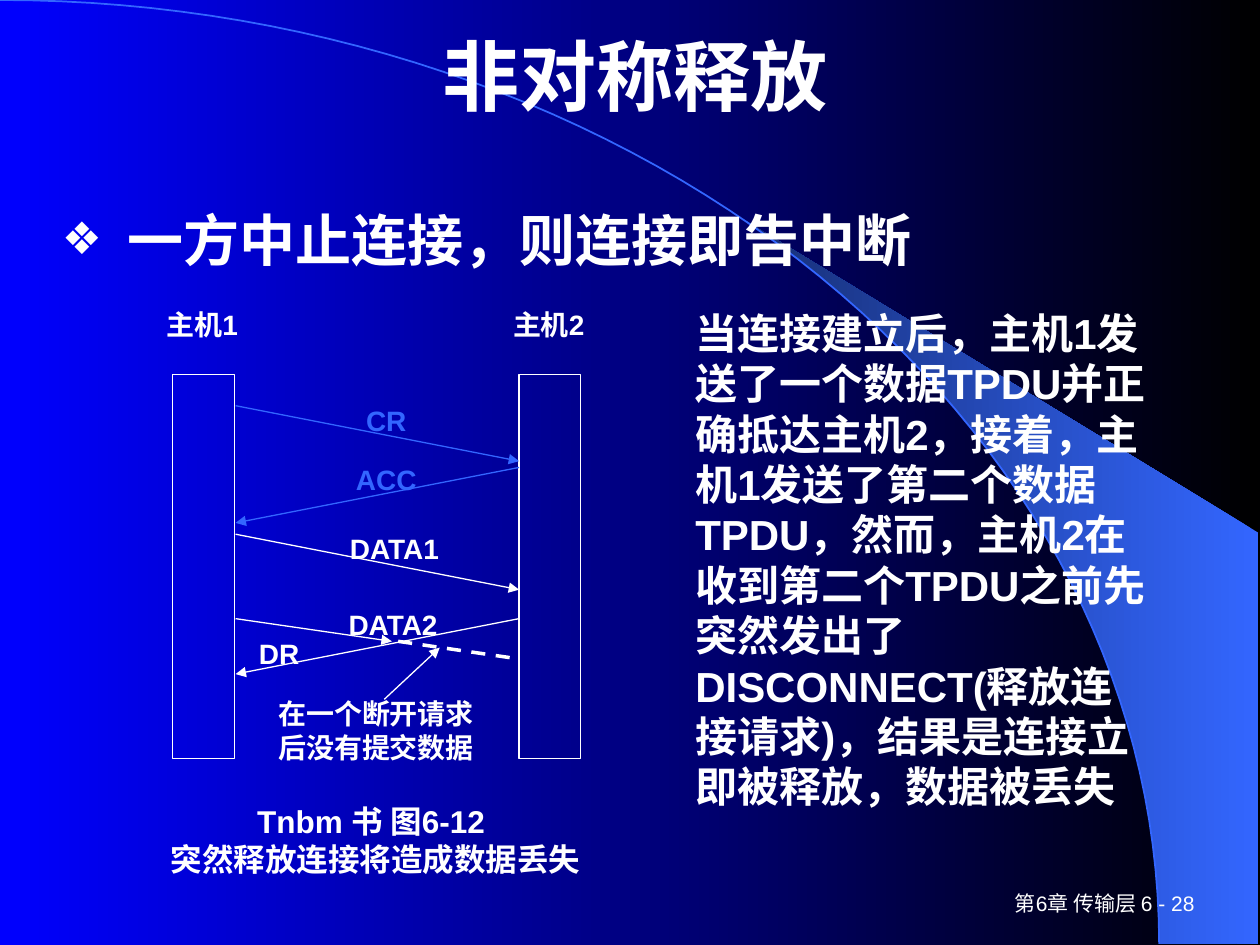
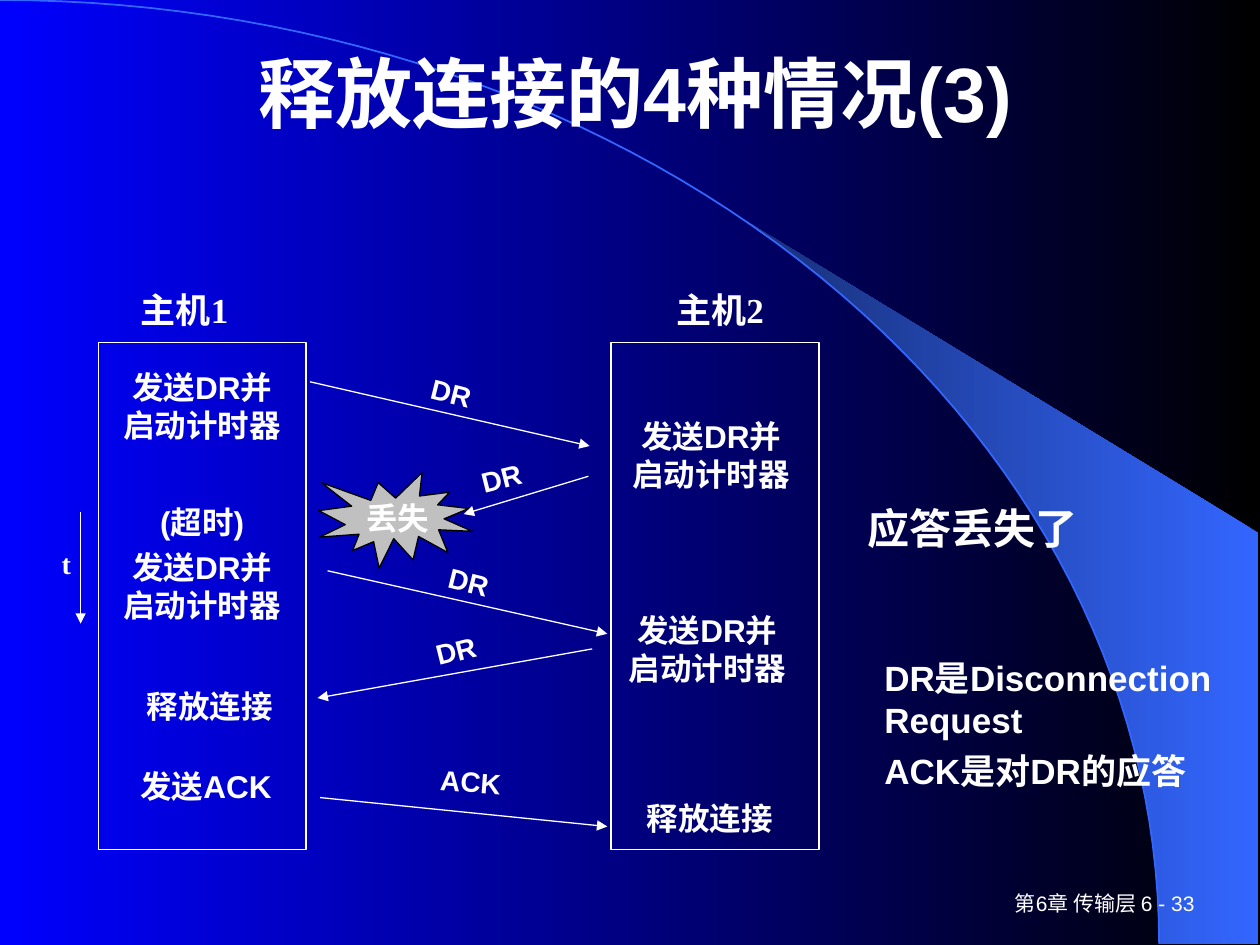
from dataclasses import dataclass
from math import asin, cos, pi, sin

from lxml import etree
from pptx import Presentation
from pptx.dml.color import RGBColor
from pptx.enum import dml, shapes, text
from pptx.oxml.ns import qn
from pptx.util import Inches, Pt

COLORS = {
    "white": "FFFFFF",
    "black": "000000",
    "blue": "0000FF",
    "sky": "3366FF",
    "navy": "172F75",
    "gray": "C0C0C0",
}
SANS, SERIF = "Arial", "Times New Roman"
CENTER, LEFT, RIGHT = text.PP_ALIGN.CENTER, text.PP_ALIGN.LEFT, text.PP_ALIGN.RIGHT
ARC_WIDTH, ARC_HEIGHT = 9.2, 7.49
WEDGE_TIP_X, WEDGE_RIGHT, WEDGE_TOP = 5.89, 9.99, 4.23


@dataclass
class Label:
    lines: str
    left: float
    top: float
    width: float
    height: float
    size: float = 16
    color: str = "white"
    font: str = SANS
    bold: bool = True
    align: text.PP_ALIGN = CENTER
    turn: float = 0
    gap: float = 0
    wrap: bool = True
    middle: bool = False


@dataclass
class Message:
    """A line from sender to receiver."""
    start: tuple[float, float]
    end: tuple[float, float]
    color: str = "white"
    width: float = 0.75
    lost: bool = False


@dataclass
class Host:
    left: float
    top: float
    width: float
    height: float


def rgb(name: str) -> RGBColor:
    return RGBColor.from_string(COLORS[name])


def gradient(fill, first: str, last: str) -> None:
    fill.gradient()
    fill.gradient_angle = 180
    for stop, name in zip(fill.gradient_stops, (first, last)):
        stop.color.rgb = rgb(name)


def place(shape, left: float, top: float, width: float, height: float) -> None:
    shape.left, shape.top = Inches(left), Inches(top)
    shape.width, shape.height = Inches(width), Inches(height)


def write(frame, label: Label) -> None:
    frame.word_wrap = label.wrap
    frame.auto_size = text.MSO_AUTO_SIZE.NONE
    anchor = text.MSO_ANCHOR
    frame.vertical_anchor = anchor.MIDDLE if label.middle else anchor.TOP
    for index, line in enumerate(label.lines.split("\n")):
        paragraph = frame.add_paragraph() if index else frame.paragraphs[0]
        paragraph.alignment = label.align
        paragraph.space_before = Pt(label.gap if index else 0)
        run = paragraph.add_run()
        run.text = line
        run.font.name, run.font.size = label.font, Pt(label.size)
        run.font.bold = label.bold
        run.font.color.rgb = rgb(label.color)


def add_label(slide, label: Label) -> None:
    box = slide.shapes.add_textbox(0, 0, 0, 0)
    place(box, label.left, label.top, label.width, label.height)
    box.rotation = label.turn
    write(box.text_frame, label)


def fill_placeholder(holder, label: Label) -> None:
    place(holder, label.left, label.top, label.width, label.height)
    write(holder.text_frame, label)


def add_message(slide, message: Message) -> None:
    ends = [Inches(value) for value in (*message.start, *message.end)]
    line = slide.shapes.add_connector(shapes.MSO_CONNECTOR.STRAIGHT, *ends)
    line.line.color.rgb = rgb(message.color)
    line.line.width = Pt(message.width)
    properties = line.element.spPr
    if message.lost:
        line.line.dash_style = dml.MSO_LINE.DASH
    else:
        etree.SubElement(properties.find(qn("a:ln")), qn("a:tailEnd"), type="triangle")
    etree.SubElement(properties, qn("a:effectLst"))


def add_host(slide, host: Host) -> None:
    bar = slide.shapes.add_shape(shapes.MSO_SHAPE.RECTANGLE, 0, 0, 0, 0)
    place(bar, host.left, host.top, host.width, host.height)
    bar.shadow.inherit = False
    bar.fill.background()
    bar.line.color.rgb = rgb("white")
    bar.line.width = Pt(0.75)


def set_bullet(paragraph) -> None:
    properties = paragraph._p.get_or_add_pPr()
    properties.set("marL", str(Inches(0.52)))
    properties.set("indent", str(-Inches(0.52)))
    color = etree.SubElement(properties, qn("a:buClr"))
    etree.SubElement(color, qn("a:srgbClr"), val=COLORS["white"])
    etree.SubElement(properties, qn("a:buSzPct"), val="80000")
    etree.SubElement(properties, qn("a:buFont"), typeface=SANS)
    etree.SubElement(properties, qn("a:buChar"), char="❖")


def arc_points(first_angle: float) -> list[tuple[int, int]]:
    """Points on the quarter ellipse, down to its right end."""
    steps = 60
    angles = [first_angle + (pi / 2 - first_angle) * i / steps for i in range(steps + 1)]
    return [(Inches(ARC_WIDTH * sin(a)), Inches(ARC_HEIGHT * (1 - cos(a)))) for a in angles]


def add_outline(slide, points: list[tuple[int, int]], close: bool):
    builder = slide.shapes.build_freeform(*points[0])
    builder.add_line_segments(points[1:], close=close)
    outline = builder.convert_to_shape()
    outline.shadow.inherit = False
    return outline


def decorate_master(master, slide) -> None:
    """Draw the wedge and arc once, then hand them to the slide master."""
    gradient(master.background.fill, "black", "blue")
    corners = [(Inches(WEDGE_RIGHT), Inches(y)) for y in (ARC_HEIGHT, WEDGE_TOP)]
    wedge = add_outline(slide, arc_points(asin(WEDGE_TIP_X / ARC_WIDTH)) + corners, True)
    gradient(wedge.fill, "sky", "navy")
    wedge.line.fill.background()
    arc = add_outline(slide, arc_points(0), False)
    arc.fill.background()
    arc.line.color.rgb = rgb("sky")
    arc.line.width = Pt(1)
    for offset, shape in enumerate((wedge, arc)):
        shape.element.nvSpPr.cNvPr.set("id", str(100 + offset))
        master.shapes.element.insert(2 + offset, shape.element)


def start_slide(prs, layout: int, title: str, title_height: float, number: int):
    slide = prs.slides.add_slide(prs.slide_layouts[layout])
    fill_placeholder(slide.shapes.title,
                     Label(title, 0.79, 0.24, 8.5, title_height, 44, middle=True))
    add_label(slide, Label(f"第6章 传输层 6 - {number}", 7.5, 7, 2.08, 0.33, 12,
                           bold=False, align=RIGHT, middle=True))
    return slide


def draw(slide, hosts: list[Host], messages: list[Message], labels: list[Label]) -> None:
    for host in hosts:
        add_host(slide, host)
    for message in messages:
        add_message(slide, message)
    for label in labels:
        add_label(slide, label)


def build_asymmetric_release(prs) -> None:
    slide = start_slide(prs, 1, "非对称释放", 0.71, 28)
    decorate_master(prs.slide_master, slide)
    body = slide.placeholders[1]
    set_bullet(body.text_frame.paragraphs[0])
    fill_placeholder(body, Label("一方中止连接，则连接即告中断", 0.39, 1.58, 9.26, 0.75,
                                 32, align=LEFT))

    # Exchange between the two hosts
    near, far = 1.87, 4.12
    hosts = [Host(left, 2.97, 0.49, 3.05) for left in (1.37, far)]
    messages = [
        Message((near, 3.22), (far, 3.66), "sky"),
        Message((far, 3.71), (near, 4.15), "sky"),
        Message((near, 4.24), (far, 4.68)),
        Message((near, 4.91), (3.11, 5.09)),
        Message((far, 4.91), (near, 5.35)),
        Message((3.16, 5.09), (far, 5.23), width=2, lost=True),
        Message((3.05, 5.55), (3.49, 5.14)),
    ]
    labels = [
        Label("主机1", 1.18, 2.39, 0.85, 0.35),
        Label("主机2", 3.93, 2.39, 0.85, 0.35),
        Label("CR", 2.64, 3.15, 0.85, 0.35, color="sky"),
        Label("ACC", 2.64, 3.62, 0.85, 0.35, color="sky"),
        Label("DATA1", 2.64, 4.17, 0.98, 0.35),
        Label("DATA2", 2.64, 4.77, 0.96, 0.35),
        Label("DR", 1.87, 5, 0.69, 0.35),
        Label("在一个断开请求后没有提交数据", 2.04, 5.48, 1.89, 0.53),
        Label("Tnbm 书 图6-12 \n突然释放连接将造成数据丢失", 1.18, 6.32, 3.6, 0.84, 18),
        Label("当连接建立后，主机1发送了一个数据TPDU并正确抵达主机2，接着，主机1发送了"
              "第二个数据TPDU，然而，主机2在收到第二个TPDU之前先突然发出了"
              "DISCONNECT(释放连接请求)，结果是连接立即被释放，数据被丢失",
              5.42, 2.39, 3.83, 4.5, 24, align=LEFT),
    ]
    draw(slide, hosts, messages, labels)


def build_lost_reply(prs) -> None:
    slide = start_slide(prs, 5, "释放连接的4种情况(3)", 0.97, 33)

    # Burst where the reply is lost
    burst = slide.shapes.add_shape(shapes.MSO_SHAPE.EXPLOSION1, 0, 0, 0, 0)
    place(burst, 2.53, 3.75, 1.22, 0.76)
    burst.shadow.inherit = False
    burst.fill.solid()
    burst.fill.fore_color.rgb = rgb("gray")
    burst.line.color.rgb = rgb("black")
    burst.line.width = Pt(0.75)

    # Hosts, messages and the time axis
    hosts = [Host(left, 2.72, 1.65, 4.02) for left in (0.78, 4.85)]
    messages = [
        Message((2.46, 3.03), (4.68, 3.54)),
        Message((4.67, 3.78), (3.68, 4.08)),
        Message((2.6, 4.53), (4.82, 5.03)),
        Message((4.7, 5.15), (2.52, 5.54)),
        Message((2.54, 6.33), (4.82, 6.56)),
        Message((0.64, 4.06), (0.64, 4.95)),
    ]
    send = "发送DR并启动计时器"
    steps = [
        (send, 0.87, 2.87, 0.7),
        (f"(超时)\n{send}", 0.87, 3.94, 1.07),
        ("释放连接", 0.93, 5.4, 0.4),
        ("发送ACK", 0.9, 6.04, 0.4),
        (send, 4.91, 3.26, 0.7),
        (send, 4.88, 4.8, 0.7),
        ("释放连接", 4.9, 6.29, 0.4),
    ]
    labels = [Label(step, left, top, 1.47, height, 18, gap=4.5)
              for step, left, top, height in steps]
    labels += [
        Label("主机1", 0.9, 2.24, 1.13, 0.38, 20, font=SERIF),
        Label("主机2", 5.15, 2.24, 1.13, 0.38, 20, font=SERIF),
        Label("t", 0.39, 4.29, 0.32, 0.38, font=SERIF, align=LEFT),
        Label("DR", 2.85, 2.93, 1.46, 0.38, turn=14),
        Label("DR ", 3.55, 3.6, 0.92, 0.39, turn=346),
        Label("DR", 2.99, 4.43, 1.46, 0.38, turn=14),
        Label("DR ", 3.19, 4.97, 0.92, 0.39, turn=346),
        Label("ACK", 3.21, 6.02, 1.05, 0.38, turn=4.2),
        Label("丢失", 2.81, 3.91, 0.7, 0.4, 18, align=LEFT, wrap=False),
        Label("应答丢失了", 6.79, 3.94, 2.96, 0.5, 24, align=LEFT),
        Label("DR是Disconnection Request\nACK是对DR的应答", 6.92, 5.16, 2.87, 1.51, 20,
              align=LEFT, gap=5),
    ]
    draw(slide, hosts, messages, labels)


def main() -> None:
    prs = Presentation()
    prs.slide_width, prs.slide_height = Inches(10), Inches(7.5)
    build_asymmetric_release(prs)
    build_lost_reply(prs)
    prs.save("out.pptx")


if __name__ == "__main__":
    main()
